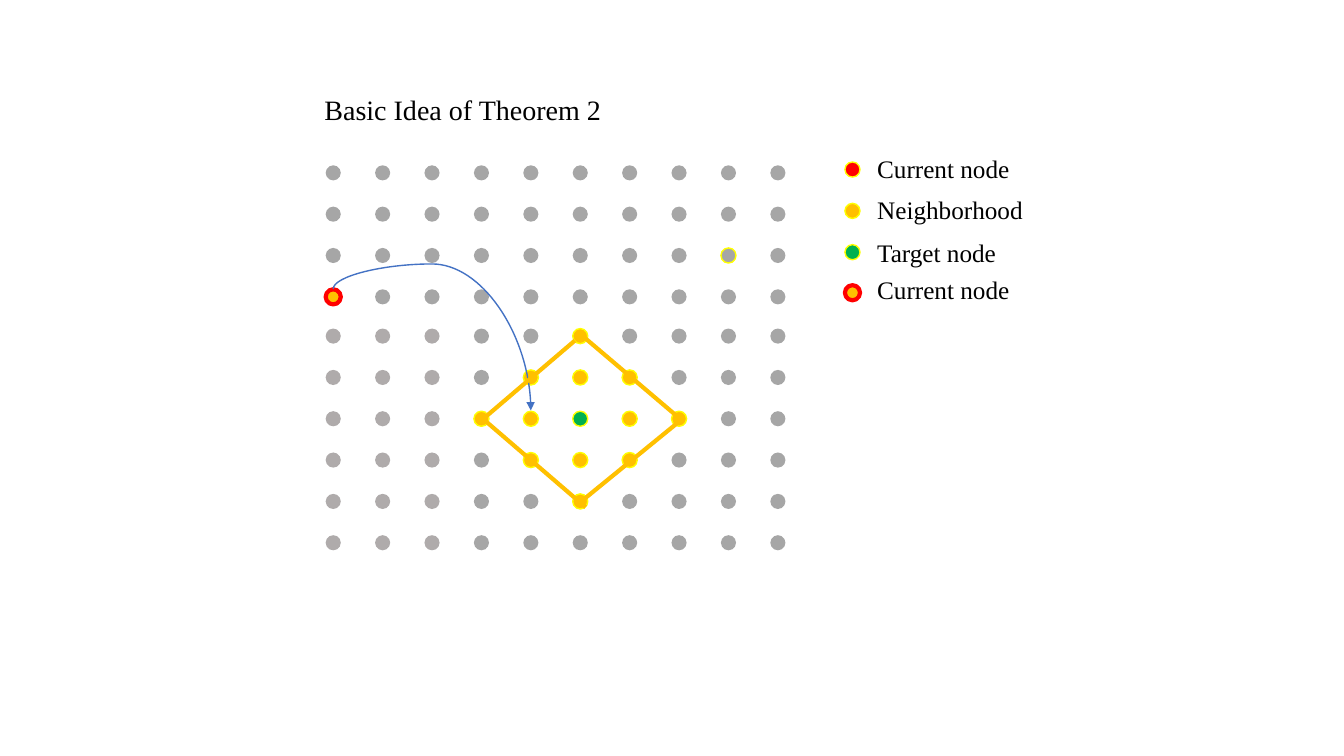
from lxml import etree
from pptx import Presentation, util as u
from pptx.dml.color import RGBColor
from pptx.enum import shapes, text
from pptx.oxml import ns

GRAY, PALE, ORANGE, YELLOW = "A6A6A6", "AFABAB", "FFC000", "FFFF00"
RED, GREEN, BLUE, BLACK = "FF0000", "00B050", "4472C4", "000000"
COUNT = 10
TARGET = (5, 6)
CURRENT = (0, 3)
OUTLINED = (8, 2)
LOWER_ROWS = 4
LOWER_SHIFT = 0.05


def color(code):
    return RGBColor.from_string(code)


class Board:
    font = "Times New Roman"
    left, top = 3.305, 1.715
    column, row = 0.49, 0.41
    dot_size = 0.15

    def __init__(self, page):
        self.page = page

    def x(self, column):
        return u.Inches(self.left + self.column * column)

    def y(self, row):
        return u.Inches(self.top + self.row * row)

    def dot(self, column, row, fill, line=None, weight=1):
        size = u.Inches(self.dot_size)
        dot = self.page.shapes.add_shape(
            shapes.MSO_SHAPE.OVAL,
            self.x(column) - size // 2, self.y(row) - size // 2, size, size)
        dot.shadow.inherit = False
        dot.fill.solid()
        dot.fill.fore_color.rgb = color(fill)
        if line:
            dot.line.color.rgb = color(line)
            dot.line.width = u.Pt(weight)
        else:
            dot.line.fill.background()

    def label(self, words, column, row, columns, rows, size):
        box = self.page.shapes.add_textbox(
            self.x(column), self.y(row - rows / 2),
            u.Inches(columns * self.column), u.Inches(rows * self.row))
        frame = box.text_frame
        frame.word_wrap = True
        frame.auto_size = text.MSO_AUTO_SIZE.SHAPE_TO_FIT_TEXT
        para = frame.paragraphs[0]
        para.text = words
        para.font.name = self.font
        para.font.size = u.Pt(size)
        para.font.color.rgb = color(BLACK)

    def line(self, start, end, stroke, weight, kind=shapes.MSO_CONNECTOR.STRAIGHT):
        line = self.page.shapes.add_connector(
            kind, self.x(start[0]), self.y(start[1]), self.x(end[0]), self.y(end[1]))
        line.line.color.rgb = color(stroke)
        line.line.width = u.Pt(weight)
        etree.SubElement(line._element.spPr, ns.qn("a:effectLst"))
        return line

    def curved_arrow(self, start, end, stroke, weight, turn, bend):
        arrow = self.line(start, end, stroke, weight, shapes.MSO_CONNECTOR.CURVE)
        properties = arrow._element.spPr
        properties.find(ns.qn("a:xfrm")).set("rot", str(turn * 60000))
        guides = properties.find(ns.qn("a:prstGeom")).find(ns.qn("a:avLst"))
        etree.SubElement(guides, ns.qn("a:gd"), name="adj1", fmla=f"val {bend}")
        outline = properties.find(ns.qn("a:ln"))
        etree.SubElement(outline, ns.qn("a:tailEnd"), type="triangle")


def node_style(column, row):
    if (column, row) == TARGET:
        return GREEN, YELLOW
    if (column, row) == CURRENT:
        return ORANGE, RED, 3
    if (column, row) == OUTLINED:
        return GRAY, YELLOW
    if abs(column - TARGET[0]) + abs(row - TARGET[1]) <= 2:
        return ORANGE, YELLOW
    if column < 3 and row >= LOWER_ROWS:
        return (PALE,)
    return (GRAY,)


def main():
    deck = Presentation()
    deck.slide_width, deck.slide_height = u.Inches(13.33), u.Inches(7.5)
    board = Board(deck.slides.add_slide(deck.slide_layouts[6]))

    board.label("Basic Idea of Theorem 2", -0.38, -1.52, 13.57, 1.07, 20)

    for row in range(COUNT):
        shift = LOWER_SHIFT if row >= LOWER_ROWS else 0
        for column in range(COUNT):
            board.dot(column, row - shift, *node_style(column, row))

    legend = [
        ("Current node", -0.08, -0.1, (RED, YELLOW)),
        ("Neighborhood", 0.92, 0.88, (ORANGE, YELLOW)),
        ("Target node", 1.92, 1.93, (GREEN, YELLOW)),
        ("Current node", 2.9, 2.83, (ORANGE, RED, 3)),
    ]
    for words, dot_row, label_row, style in legend:
        board.dot(10.51, dot_row, *style)
        board.label(words, 10.81, label_row, 4.35, 0.98, 18)

    board.curved_arrow((3.23, 1.89), (0.77, 6.67), BLUE, 1, turn=270, bend=-20600)

    diamond = [
        ((3.03, 5.96), (4.89, 4.06)),
        ((7.01, 5.94), (5.01, 3.91)),
        ((2.97, 5.89), (5.11, 8.09)),
        ((5.01, 7.96), (7.03, 5.99)),
    ]
    for start, end in diamond:
        board.line(start, end, ORANGE, 3)

    deck.save("out.pptx")


if __name__ == "__main__":
    main()
